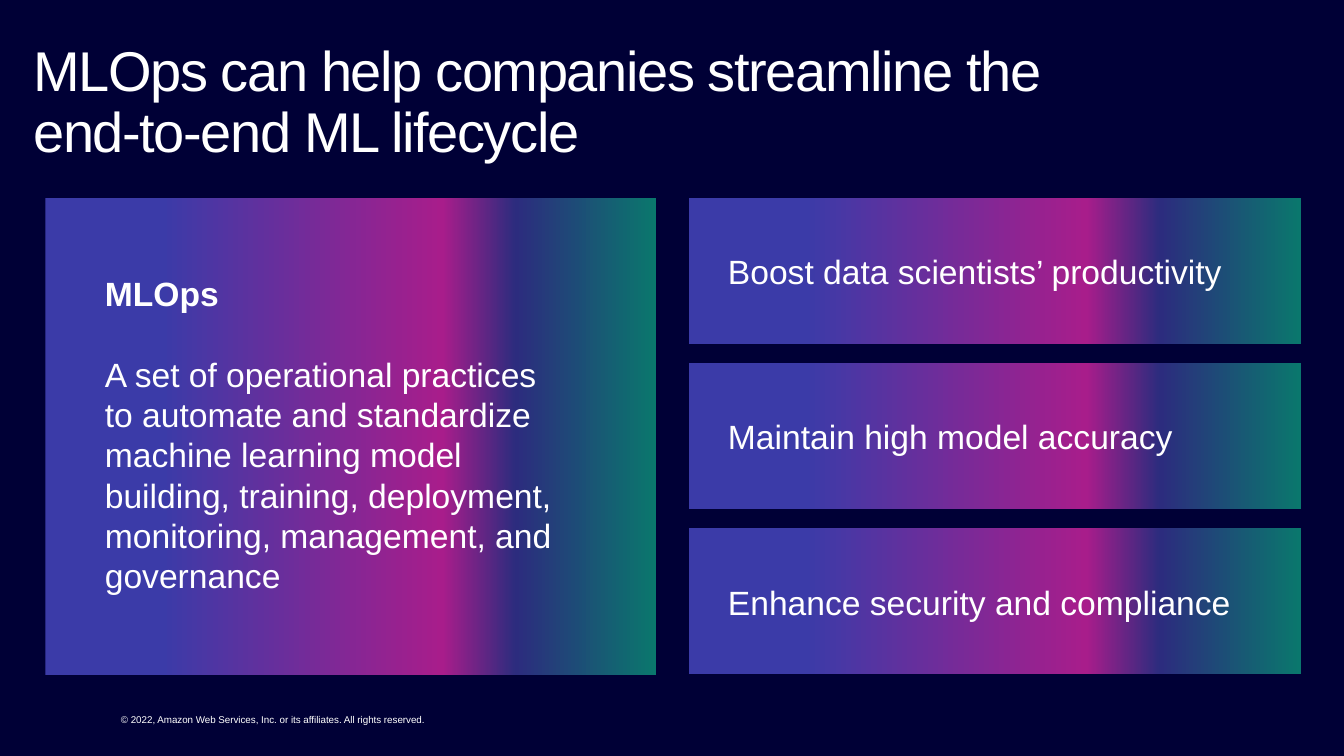
from lxml.etree import SubElement
from pptx import Presentation
from pptx.dml.color import RGBColor
from pptx.enum.shapes import MSO_SHAPE
from pptx.enum.text import MSO_ANCHOR, MSO_AUTO_SIZE, PP_ALIGN
from pptx.oxml.ns import qn
from pptx.util import Inches, Pt

COLORS = {
    "background": "000036",
    "text": "FFFFFF",
    "indigo": "3B3BA8",
    "magenta": "A81D8B",
    "navy": "2C2C7E",
    "teal": "0A776D",
}
CARD_STOPS = [(19, "indigo"), (65, "magenta"), (77, "navy"), (100, "teal")]
BENEFITS = [
    "Boost data scientists’ productivity",
    "Maintain high model accuracy",
    "Enhance security and compliance",
]


class SlideBuilder:
    font = "Arial"

    def __init__(self, prs):
        self.slide = prs.slides.add_slide(prs.slide_layouts[5])
        fill = self.slide.background.fill
        fill.solid()
        fill.fore_color.rgb = self.color("background")

    def color(self, name):
        return RGBColor.from_string(COLORS[name])

    def run(self, p, text, size, bold=False):
        r = p.add_run()
        r.text = text
        r.font.name = self.font
        r.font.size = Pt(size)
        r.font.bold = bold
        r.font.color.rgb = self.color("text")
        return r

    def frame(self, sp, left, top, right, bottom):
        tf = sp.text_frame
        tf.word_wrap = True
        tf.vertical_anchor = MSO_ANCHOR.TOP
        tf.margin_left, tf.margin_top = Inches(left), Inches(top)
        tf.margin_right, tf.margin_bottom = Inches(right), Inches(bottom)
        return tf

    def title(self, x, y, w, h, text):
        sp = self.slide.shapes.title
        sp.left, sp.top, sp.width, sp.height = map(Inches, (x, y, w, h))
        tf = self.frame(sp, 0, 0.16, 0.1, 0.16)
        tf.auto_size = MSO_AUTO_SIZE.NONE
        p = tf.paragraphs[0]
        p.alignment = PP_ALIGN.LEFT
        p.line_spacing = 0.9
        r = self.run(p, text, 40)
        r.font._element.set("spc", "-100")

    def card(self, x, y, w, h):
        sp = self.slide.shapes.add_shape(
            MSO_SHAPE.RECTANGLE, *map(Inches, (x, y, w, h)))
        sp.shadow.inherit = False
        sp.line.fill.background()
        sp.fill.gradient()
        sp.fill.gradient_angle = 0
        # Replace the two default stops with the four card colours
        stops = sp._element.spPr.find(".//" + qn("a:gsLst"))
        stops.clear()
        for pos, name in CARD_STOPS:
            gs = SubElement(stops, qn("a:gs"), pos=str(pos * 1000))
            SubElement(gs, qn("a:srgbClr"), val=COLORS[name])

    def text(self, x, y, w, h, paragraphs, size=24, margins=(0, 0.05, 0.1, 0.05), gap=0):
        """Each paragraph is a (text, bold) pair."""
        sp = self.slide.shapes.add_textbox(*map(Inches, (x, y, w, h)))
        tf = self.frame(sp, *margins)
        tf.auto_size = MSO_AUTO_SIZE.SHAPE_TO_FIT_TEXT
        for i, (text, bold) in enumerate(paragraphs):
            p = tf.add_paragraph() if i else tf.paragraphs[0]
            if i:
                p.space_before = Pt(gap)
            self.run(p, text, size, bold)


def main():
    prs = Presentation()
    prs.slide_width, prs.slide_height = Inches(13.33), Inches(7.5)
    s = SlideBuilder(prs)

    # Title and copyright line
    s.title(0.33, 0.27, 12.67, 0.79,
            "MLOps can help companies streamline the end‑to‑end ML lifecycle")
    s.text(1.2, 7.08, 4.33, 0.12,
           [("© 2022, Amazon Web Services, Inc. or its affiliates. All rights reserved.", False)],
           size=7, margins=(0, 0, 0, 0))

    # Definition card
    s.card(0.45, 1.96, 6.06, 4.74)
    s.text(1.04, 2.66, 4.72, 3.33, [
        ("MLOps", True),
        ("A set of operational practices to automate and standardize machine learning "
         "model building, training, deployment, monitoring, management, and governance", False),
    ], gap=28.8)

    # Benefit cards
    for i, benefit in enumerate(BENEFITS):
        top = 1.96 + 1.64 * i
        s.card(6.83, top, 6.07, 1.45)
        s.text(7.22, top + 0.48, 5.54, 0.5, [(benefit, False)])

    prs.save("out.pptx")


if __name__ == "__main__":
    main()
